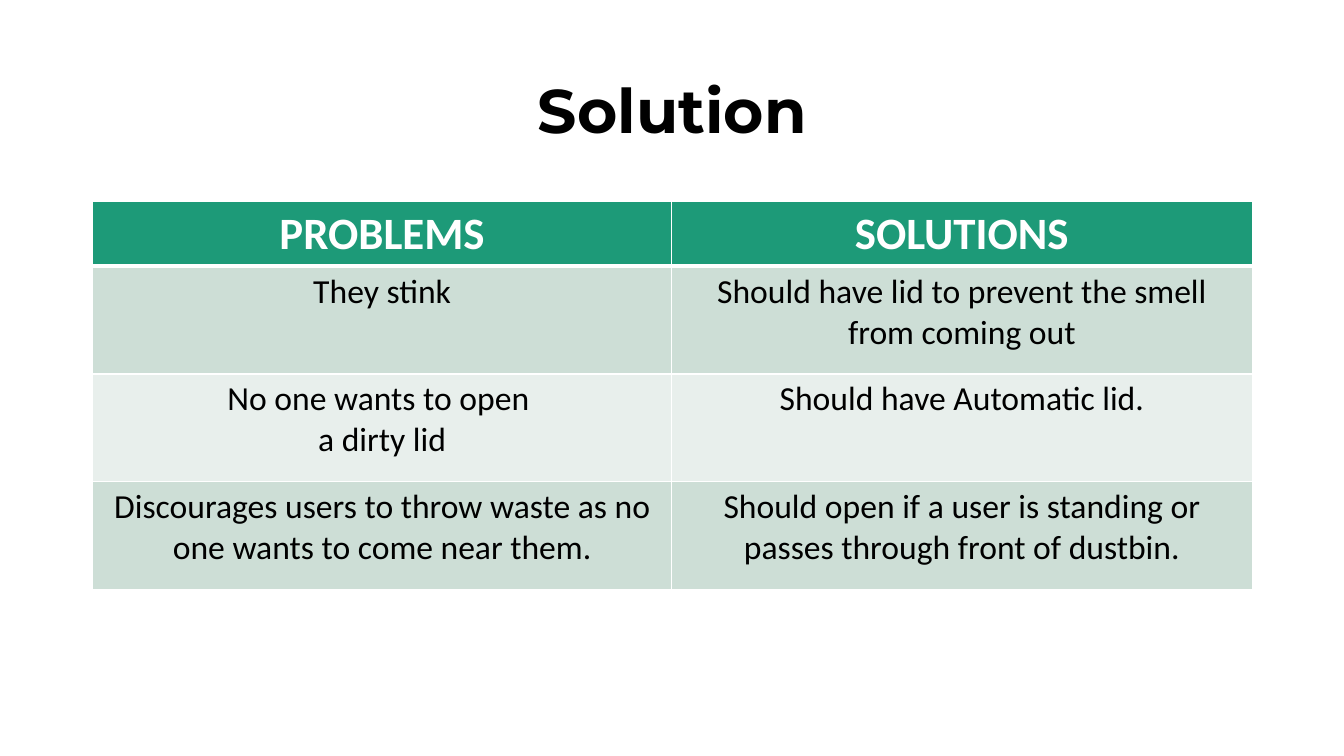
from lxml.etree import SubElement
from pptx import Presentation
from pptx.dml.color import RGBColor
from pptx.enum.text import MSO_ANCHOR, PP_ALIGN
from pptx.oxml.ns import qn
from pptx.util import Inches, Pt

# Content: each cell is a list of paragraphs
TITLE = "Solution"
ROWS = [
    (["PROBLEMS"], ["SOLUTIONS"]),
    (["They stink"], ["Should have lid to prevent the smell from coming out"]),
    (["No one wants to open ", "a dirty lid"], ["Should have Automatic lid."]),
    (["Discourages users to throw waste as no one wants to come near them."],
     ["Should open if a user is standing or passes through front of dustbin."]),
]

# Style and measures
WHITE, BLACK, GREEN = "FFFFFF", "000000", "1D9A78"
BANDS = ["CDDED6", "E8EFEC"]
LEFT, WIDTH = 0.92, 11.5
COLUMN_WIDTHS = [5.74, 5.76]
HEADER_HEIGHT, ROW_HEIGHT = 0.64, 1.07
THIN, THICK = 1, 3


def color(hex_code):
    return RGBColor.from_string(hex_code)


def write(text_frame, paragraphs, font_name, size, text_color, bold):
    for index, text in enumerate(paragraphs):
        paragraph = text_frame.paragraphs[0] if index == 0 else text_frame.add_paragraph()
        paragraph.alignment = PP_ALIGN.CENTER
        run = paragraph.add_run()
        run.text = text
        run.font.name = font_name
        run.font.size = Pt(size)
        run.font.bold = bold
        run.font.color.rgb = color(text_color)


def set_borders(cell, top, bottom):
    properties = cell._tc.get_or_add_tcPr()
    for side, width in (("L", THIN), ("R", THIN), ("T", top), ("B", bottom)):
        line = SubElement(properties, qn(f"a:ln{side}"), w=str(Pt(width)))
        fill = SubElement(line, qn("a:solidFill"))
        SubElement(fill, qn("a:srgbClr"), val=WHITE)


presentation = Presentation()
presentation.slide_width = Inches(13.33)
presentation.slide_height = Inches(7.5)
slide = presentation.slides.add_slide(presentation.slide_layouts[6])

# Title
title = slide.shapes.add_textbox(Inches(LEFT), Inches(0.4), Inches(WIDTH), Inches(1.45))
title.text_frame.word_wrap = True
title.text_frame.vertical_anchor = MSO_ANCHOR.MIDDLE
write(title.text_frame, [TITLE], "Montserrat", 44, BLACK, True)
title.text_frame.paragraphs[0].line_spacing = 0.9

# Table
table_height = HEADER_HEIGHT + ROW_HEIGHT * (len(ROWS) - 1)
table = slide.shapes.add_table(
    len(ROWS), len(COLUMN_WIDTHS),
    Inches(LEFT), Inches(2), Inches(WIDTH), Inches(table_height)).table
for column, width in zip(table.columns, COLUMN_WIDTHS):
    column.width = Inches(width)

for row_index, row in enumerate(ROWS):
    header = row_index == 0
    table.rows[row_index].height = Inches(HEADER_HEIGHT if header else ROW_HEIGHT)
    for column_index, paragraphs in enumerate(row):
        cell = table.cell(row_index, column_index)
        set_borders(cell, THICK if row_index == 1 else THIN, THICK if header else THIN)
        cell.fill.solid()
        cell.fill.fore_color.rgb = color(GREEN if header else BANDS[(row_index - 1) % 2])
        write(cell.text_frame, paragraphs, "Calibri",
              32 if header else 24, WHITE if header else BLACK, header)

presentation.save("out.pptx")
